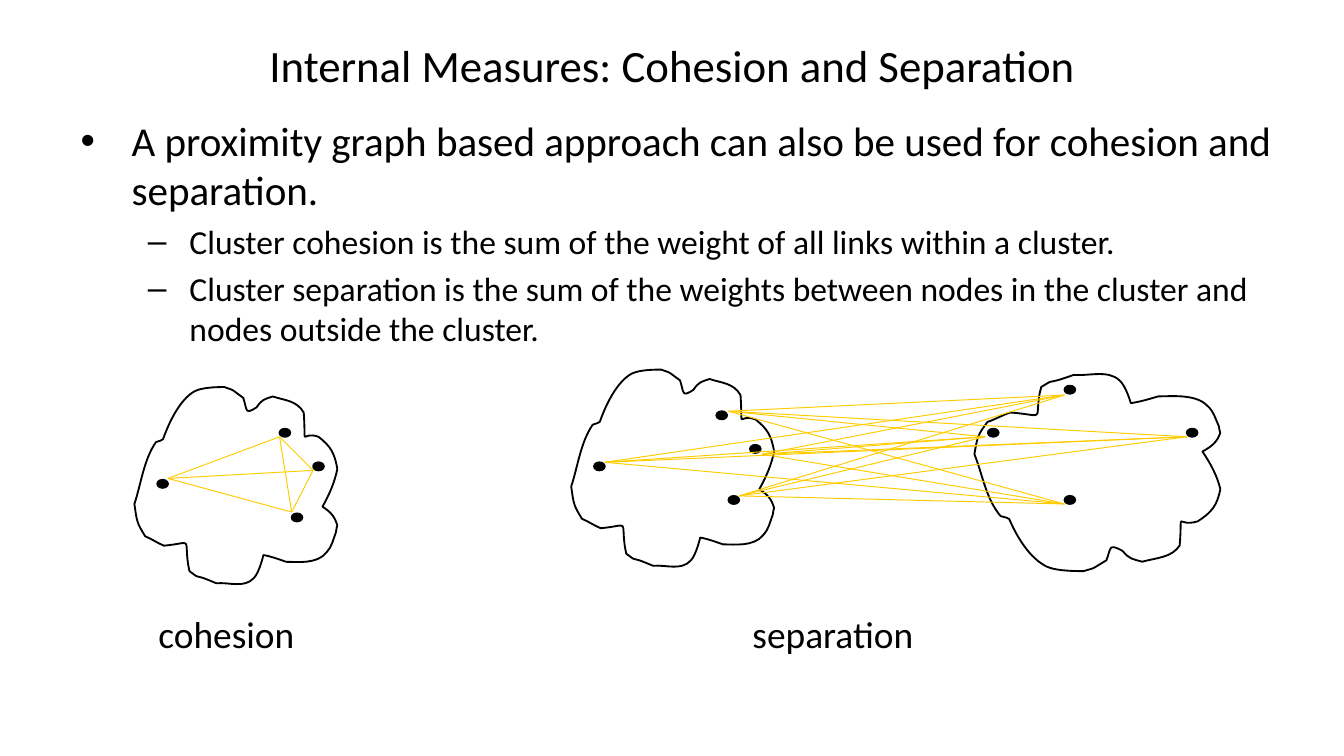
from itertools import combinations, product

from lxml.etree import SubElement
from pptx import Presentation
from pptx.dml.color import RGBColor
from pptx.enum.shapes import MSO_CONNECTOR, MSO_SHAPE
from pptx.enum.text import MSO_ANCHOR, MSO_AUTO_SIZE, PP_ALIGN
from pptx.oxml.ns import qn
from pptx.util import Inches, Pt

INK, LINK = "000000", "FFCC00"

# Cluster outline in inches from its upper left corner:
# each row holds two control points and the end of one curve
OUTLINE_WIDTH, OUTLINE_HEIGHT = 1.51, 1.5
OUTLINE_START = (0.16, 0.41)
OUTLINE_CURVES = [
    [(0.07, 0.54), (0.05, 0.72), (0, 0.87)],
    [(0.02, 1.01), (0.02, 1.01), (0.08, 1.11)],
    [(0.13, 1.13), (0.17, 1.16), (0.22, 1.18)],
    [(0.44, 1.16), (0.37, 1.11), (0.4, 1.32)],
    [(0.4, 1.34), (0.41, 1.35), (0.41, 1.37)],
    [(0.48, 1.42), (0.44, 1.4), (0.51, 1.42)],
    [(0.54, 1.43), (0.61, 1.46), (0.61, 1.46)],
    [(0.7, 1.45), (0.82, 1.5), (0.89, 1.42)],
    [(0.93, 1.38), (0.96, 1.25), (0.96, 1.25)],
    [(1.02, 1.26), (1.07, 1.28), (1.13, 1.3)],
    [(1.21, 1.3), (1.36, 1.32), (1.43, 1.23)],
    [(1.47, 1.19), (1.48, 1.13), (1.5, 1.08)],
    [(1.5, 1.06), (1.51, 1.03), (1.51, 1.03)],
    [(1.49, 0.96), (1.46, 0.93), (1.4, 0.89)],
    [(1.45, 0.8), (1.49, 0.71), (1.51, 0.61)],
    [(1.49, 0.49), (1.46, 0.44), (1.37, 0.37)],
    [(1.23, 0.32), (1.28, 0.48), (1.26, 0.19)],
    [(1.21, 0.1), (1.12, 0.1), (1.03, 0.07)],
    [(0.97, 0.09), (0.95, 0.09), (0.91, 0.15)],
    [(0.82, 0.21), (0.84, 0.17), (0.81, 0.08)],
    [(0.7, 0), (0.75, 0.03), (0.67, 0)],
    [(0.63, 0), (0.51, 0), (0.45, 0.03)],
    [(0.34, 0.09), (0.26, 0.26), (0.22, 0.37)],
    [(0.22, 0.4), (0.18, 0.4), (0.16, 0.41)],
]


def color(hex_string):
    return RGBColor.from_string(hex_string)


def write(paragraph, text, size, before=0, align=None, hex_color=INK):
    run = paragraph.add_run()
    run.text = text
    run.font.name = "Calibri"
    run.font.size = Pt(size)
    run.font.color.rgb = color(hex_color)
    paragraph.space_before = Pt(before)
    if align is not None:
        paragraph.alignment = align


def place(part, x, y, w, h):
    part.left, part.top = Inches(x), Inches(y)
    part.width, part.height = Inches(w), Inches(h)


def title(slide, x, y, w, h):
    heading = slide.shapes.title
    place(heading, x, y, w, h)
    frame = heading.text_frame
    frame.auto_size = MSO_AUTO_SIZE.NONE
    frame.vertical_anchor = MSO_ANCHOR.MIDDLE
    write(frame.paragraphs[0], "Internal Measures: Cohesion and Separation", 24,
          align=PP_ALIGN.CENTER)


def explanation(slide, x, y, w, h):
    body = slide.placeholders[1]
    place(body, x, y, w, h)
    frame = body.text_frame
    frame.auto_size = MSO_AUTO_SIZE.NONE
    points = [
        (0, "A proximity graph based approach can also be used for cohesion and separation."),
        (1, "Cluster cohesion is the sum of the weight of all links within a cluster."),
        (1, "Cluster separation is the sum of the weights between nodes in the cluster "
            "and nodes outside the cluster."),
    ]
    styles = [(22, 0, 0.38, -0.38), (18, 3.6, 0.81, -0.31)]
    for number, (level, text) in enumerate(points):
        paragraph = frame.add_paragraph() if number else frame.paragraphs[0]
        size, before, margin, indent = styles[level]
        paragraph.level = level
        write(paragraph, text, size, before)
        properties = paragraph._p.get_or_add_pPr()
        properties.set("marL", str(Inches(margin)))
        properties.set("indent", str(Inches(indent)))


def bend(cloud):
    """Turn each three line segments of the outline into one curve."""
    segments = list(cloud._element.iter(qn("a:lnTo")))
    for first, second, third in zip(*[iter(segments)] * 3):
        first.tag = qn("a:cubicBezTo")
        for segment in (second, third):
            first.append(segment[0])
            segment.getparent().remove(segment)


def cluster(slide, x, y, w, nodes, turn):
    """Draw a cluster and its nodes; a turn of 90 mirrors what 270 shows."""
    h = OUTLINE_HEIGHT

    def before_turn(point):
        across = point[0] * w / OUTLINE_WIDTH
        return Inches(h - point[1]), Inches(w - across if turn == 90 else across)

    builder = slide.shapes.build_freeform(*before_turn(OUTLINE_START))
    builder.add_line_segments([before_turn(point) for curve in OUTLINE_CURVES
                               for point in curve], close=True)
    cloud = builder.convert_to_shape()
    bend(cloud)
    place(cloud, x + (w - h) / 2, y + (h - w) / 2, h, w)
    cloud.fill.background()
    dots = [slide.shapes.add_shape(MSO_SHAPE.OVAL, Inches(x + left), Inches(y + top),
                                   Inches(0.06), Inches(0.08)) for left, top in nodes]
    for dot in dots:
        dot.fill.solid()
        dot.fill.fore_color.rgb = color(INK)
    for part in [cloud, *dots]:
        part.rotation = turn
        part.shadow.inherit = False
        part.line.color.rgb = color(INK)
        part.line.width = Pt(1)


def links(slide, x, y, pairs):
    for (x1, y1), (x2, y2) in pairs:
        link = slide.shapes.add_connector(MSO_CONNECTOR.STRAIGHT, Inches(x + x1),
                                          Inches(y + y1), Inches(x + x2), Inches(y + y2))
        link.line.color.rgb = color(LINK)
        link.line.width = Pt(0.5)
        SubElement(link._element.spPr, qn("a:effectLst"))


def caption(slide, text, x, y, w, h):
    label = slide.shapes.add_textbox(Inches(x), Inches(y), Inches(w), Inches(h))
    label.text_frame.word_wrap = False
    label.text_frame.auto_size = MSO_AUTO_SIZE.SHAPE_TO_FIT_TEXT
    write(label.text_frame.paragraphs[0], text, 20)


LEFT_NODES = [(1.18, 0.93), (1.09, 0.3), (0.18, 0.68), (1.34, 0.55)]
RIGHT_NODES = [(1.59, 0.43), (0.11, 0.43), (0.68, 0.93), (0.68, 0.11)]


def cohesion(slide, x, y):
    cluster(slide, x, y, 1.51, LEFT_NODES, 270)
    ends = [(0.25, 0.68), (1.08, 0.37), (1.17, 0.93), (1.33, 0.62)]
    links(slide, x, y, combinations(ends, 2))
    caption(slide, "cohesion", x + 0.08, y + 1.62, 1.22, 0.44)


def separation(slide, x, y):
    cluster(slide, x, y, 1.51, LEFT_NODES, 270)
    cluster(slide, x + 3, y, 1.83, RIGHT_NODES, 90)
    inside = [(1.25, 0.94), (1.42, 0.63), (0.25, 0.69), (1.17, 0.31)]
    outside = [(3.67, 1), (3.08, 0.5), (3.67, 0.19), (4.58, 0.5)]
    links(slide, x, y, product(inside, outside))
    caption(slide, "separation", x + 1.25, y + 1.75, 1.41, 0.44)


def main():
    deck = Presentation()
    deck.slide_width, deck.slide_height = Inches(10), Inches(10 * 9 / 16)
    slide = deck.slides.add_slide(deck.slide_layouts[1])
    title(slide, 0.5, 0.23, 9, 0.5)
    explanation(slide, 0.5, 0.81, 9.25, 4.38)
    separation(slide, 4.25, 2.75)
    cohesion(slide, 1, 2.88)
    deck.save("out.pptx")


if __name__ == "__main__":
    main()
